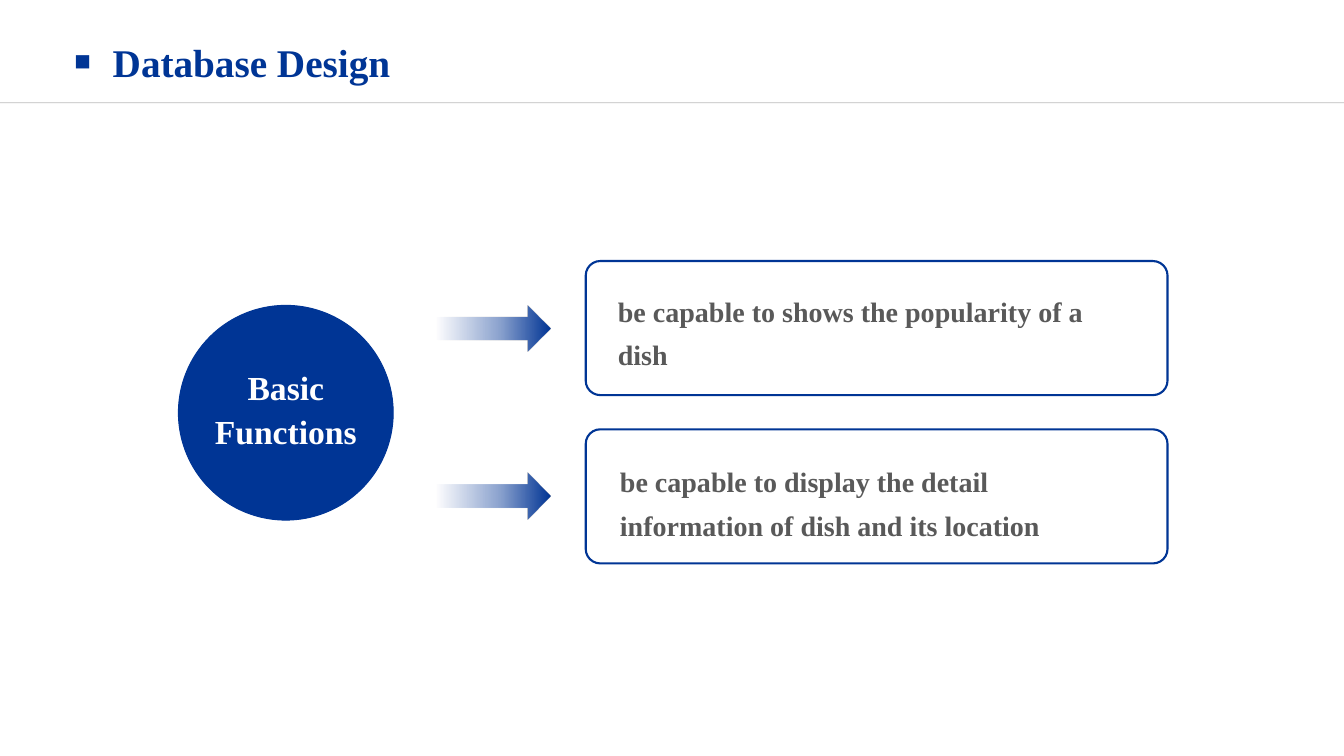
from dataclasses import dataclass

from lxml import etree
from pptx import Presentation
from pptx.dml.color import RGBColor
from pptx.enum.shapes import MSO_CONNECTOR, MSO_SHAPE
from pptx.enum.text import MSO_ANCHOR, PP_ALIGN
from pptx.oxml.ns import qn
from pptx.util import Inches, Pt

STRAIGHT = MSO_CONNECTOR.STRAIGHT
OVAL = MSO_SHAPE.OVAL
ARROW = MSO_SHAPE.RIGHT_ARROW
ROUNDED = MSO_SHAPE.ROUNDED_RECTANGLE
TOP = MSO_ANCHOR.TOP
LEFT, CENTER = PP_ALIGN.LEFT, PP_ALIGN.CENTER


@dataclass(frozen=True)
class Theme:
    font: str = "Times New Roman"
    blue: str = "003595"
    white: str = "FFFFFF"
    body: str = "595959"
    rule: str = "404040"
    title_size: int = 28
    hub_size: int = 24
    body_size: int = 20


@dataclass(frozen=True)
class Box:
    left: float
    top: float
    width: float
    height: float

    def lengths(self) -> tuple:
        return tuple(Inches(v) for v in (self.left, self.top, self.width, self.height))


@dataclass(frozen=True)
class Function:
    text: str
    card_top: float
    arrow_top: float
    text_left: float
    text_top: float


THEME = Theme()
FADE = ((0, 0), (57, 47), (100, 100))
FUNCTIONS = (
    Function("be capable to shows the popularity of a dish", 2.59, 3.03, 6.03, 2.77),
    Function("be capable to display the detail information of dish and its location",
             4.26, 4.69, 6.05, 4.46),
)


def rgb(color: str) -> RGBColor:
    return RGBColor.from_string(color)


def set_alpha(color_el, percent: int) -> None:
    etree.SubElement(color_el, qn("a:alpha")).set("val", str(percent * 1000))


def add_shape(slide, kind, box: Box, fill: str, line_width: float):
    sp = slide.shapes.add_shape(kind, *box.lengths())
    sp.shadow.inherit = False
    sp.fill.solid()
    sp.fill.fore_color.rgb = rgb(fill)
    sp.line.color.rgb = rgb(THEME.blue)
    sp.line.width = Pt(line_width)
    return sp


def add_fading_arrow(slide, box: Box) -> None:
    sp = slide.shapes.add_shape(ARROW, *box.lengths())
    sp.shadow.inherit = False
    sp.line.fill.background()
    sp.fill.gradient()
    sp.fill.gradient_angle = 0
    stops = sp._element.spPr.find(qn("a:gradFill")).find(qn("a:gsLst"))
    for stop in list(stops):
        stops.remove(stop)
    for position, alpha in FADE:
        stop = etree.SubElement(stops, qn("a:gs"))
        stop.set("pos", str(position * 1000))
        color_el = etree.SubElement(stop, qn("a:srgbClr"))
        color_el.set("val", THEME.blue)
        set_alpha(color_el, alpha)


def add_text(slide, box: Box, text: str, size: int, color: str,
             align=LEFT, spacing: float = 1.0, bullet: str = "") -> None:
    tf = slide.shapes.add_textbox(*box.lengths()).text_frame
    tf.word_wrap = True
    tf.vertical_anchor = TOP
    p = tf.paragraphs[0]
    p.alignment = align
    p.line_spacing = spacing
    if bullet:
        pPr = p._p.get_or_add_pPr()
        pPr.set("marL", str(Inches(0.38)))
        pPr.set("indent", str(-Inches(0.38)))
        etree.SubElement(pPr, qn("a:buSzPct")).set("val", "70000")
        etree.SubElement(pPr, qn("a:buFont")).set("typeface", THEME.font)
        etree.SubElement(pPr, qn("a:buChar")).set("char", bullet)
    r = p.add_run()
    r.text = text
    for name, value in {"name": THEME.font, "size": Pt(size), "bold": True}.items():
        setattr(r.font, name, value)
    r.font.color.rgb = rgb(color)


def add_header(slide, width: int) -> None:
    y = Inches(1.02)
    rule = slide.shapes.add_connector(STRAIGHT, 0, y, width, y)
    rule.line.color.rgb = rgb(THEME.rule)
    rule.line.width = Pt(0.5)
    spPr = rule._element.spPr
    set_alpha(next(spPr.iter(qn("a:srgbClr"))), 34)
    etree.SubElement(spPr, qn("a:effectLst"))
    add_text(slide, Box(0.64, 0.33, 11.73, 0.57), "Database Design",
             THEME.title_size, THEME.blue, bullet="■")


def add_function(slide, function: Function) -> None:
    card = add_shape(slide, ROUNDED, Box(5.81, function.card_top, 5.77, 1.33), THEME.white, 1.5)
    card.adjustments[0] = 0.108
    add_fading_arrow(slide, Box(4.33, function.arrow_top, 1.13, 0.46))
    add_text(slide, Box(function.text_left, function.text_top, 5.25, 0.97), function.text,
             THEME.body_size, THEME.body, spacing=1.3)


def main() -> None:
    prs = Presentation()
    prs.slide_width, prs.slide_height = Inches(13.33), Inches(7.5)
    slide = prs.slides.add_slide(prs.slide_layouts[6])
    add_header(slide, prs.slide_width)
    add_shape(slide, OVAL, Box(1.77, 3.03, 2.13, 2.13), THEME.blue, 0.75)
    add_text(slide, Box(1.93, 3.55, 1.81, 0.99), "Basic Functions",
             THEME.hub_size, THEME.white, CENTER, 1.1)
    for function in FUNCTIONS:
        add_function(slide, function)
    prs.save("out.pptx")


if __name__ == "__main__":
    main()
